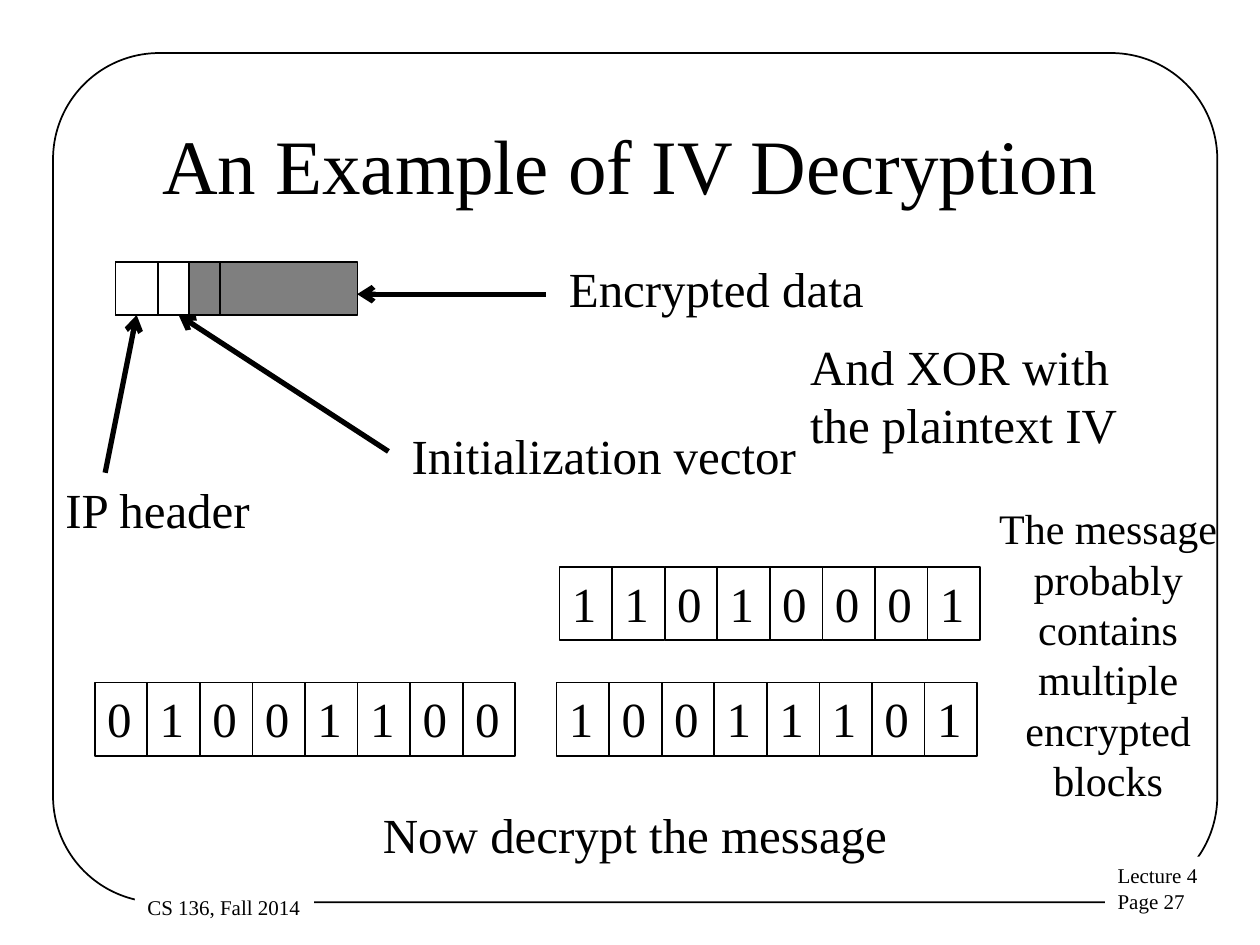
from lxml import etree
from pptx import Presentation
from pptx.dml import color
from pptx.enum import shapes as kinds, text as enums
from pptx.oxml import ns
from pptx.util import Cm, Pt

FONT = "Times New Roman"
BLACK, WHITE, GRAY = "000000", "FFFFFF", "7F7F7F"

# Content: lengths in cm
TITLE = "An Example of IV Decryption"
FOOTERS = [  # text, left, top, width, height
    ("Lecture 4\nPage 27", 22.28, 17.27, 3.22, 1.27),
    ("CS 136, Fall 2014", 2.72, 17.91, 3.61, 0.76),
]
LABELS = [  # text, left, top, width, height, size, wrap, centred
    ("IP header", 1.07, 9.55, 4.24, 1.45, 28, False, False),
    ("Encrypted data", 11.22, 5.08, 6.45, 1.45, 28, False, False),
    ("Initialization vector", 8.05, 8.46, 8.26, 1.45, 28, False, False),
    ("Now decrypt the message", 7.47, 16.1, 10.67, 1.45, 28, False, False),
    ("And XOR with the plaintext IV", 16.08, 6.65, 7.82, 2.64, 28, True, False),
    ("The message probably contains multiple encrypted blocks",
     19.48, 10.01, 5.72, 6.35, 24, True, True),
]
PACKET = [  # left, width, fill
    (2.33, 4.88, GRAY), (2.33, 0.85, WHITE),
    (3.18, 0.63, WHITE), (3.81, 0.63, GRAY),
]
PACK_TOP, PACK_H = 5.29, 1.06
ARROWS = [  # from x, y, to x, y
    (2.12, 9.53, 2.76, 6.35),
    (11.0, 5.93, 7.2, 5.93),
    (7.83, 9.1, 3.6, 6.35),
]
BITS = [  # bits, left, top
    ("10011101", 11.22, 13.76),
    ("01001100", 1.91, 13.76),
    ("11010001", 11.28, 11.43),
]
BIT_W, BIT_H = 1.06, 1.48


def rgb(code):
    return color.RGBColor.from_string(code)


def write(shape, words, size, wrap=True, center=False, anchor="TOP"):
    frame = shape.text_frame
    frame.text = words
    frame.word_wrap = wrap
    frame.vertical_anchor = enums.MSO_ANCHOR[anchor]
    for para in frame.paragraphs:
        para.alignment = enums.PP_ALIGN.CENTER if center else enums.PP_ALIGN.LEFT
        for run in para.runs:
            run.font.name = FONT
            run.font.size = Pt(size)
            run.font.color.rgb = rgb(BLACK)


def box(place, fill=None, line=BLACK, kind="RECTANGLE"):
    shape = slide.shapes.add_shape(kinds.MSO_SHAPE[kind], *map(Cm, place))
    shape.shadow.inherit = False
    if fill:
        shape.fill.solid()
        shape.fill.fore_color.rgb = rgb(fill)
    else:
        shape.fill.background()
    if line:
        shape.line.color.rgb = rgb(line)
        shape.line.width = Pt(1)
    else:
        shape.line.fill.background()
    return shape


def arrow(ends):
    link = slide.shapes.add_connector(
        kinds.MSO_CONNECTOR.STRAIGHT, *map(Cm, ends))
    link.line.color.rgb = rgb(BLACK)
    link.line.width = Pt(3)
    stroke = link.line._get_or_add_ln()
    etree.SubElement(stroke, ns.qn("a:tailEnd"), type="arrow")
    etree.SubElement(link._element.spPr, ns.qn("a:effectLst"))
    return link


deck = Presentation()
deck.slide_width, deck.slide_height = Cm(25.4), Cm(19.05)
slide = deck.slides.add_slide(deck.slide_layouts[5])

# Frame and footers
frame = box((1.07, 1.07, 23.47, 17.12), kind="ROUNDED_RECTANGLE")
frame.adjustments[0] = 0.125
for words, *place in FOOTERS:
    write(box(place, WHITE, None), words, 12, wrap=False)

# Title
title = slide.shapes.title
title.left, title.top, title.width, title.height = map(
    Cm, (1.91, 1.7, 21.59, 3.18))
write(title, TITLE, 44, center=True, anchor="MIDDLE")

# Packet with its arrows
links = [arrow(ends) for ends in ARROWS]
parts = [box((left, PACK_TOP, width, PACK_H), fill)
         for left, width, fill in PACKET]
links[0].end_connect(parts[1], 2)

# Rows of bits
for bits, left, top in BITS:
    for i, bit in enumerate(bits):
        write(box((left + i * BIT_W, top, BIT_W, BIT_H), WHITE), bit, 28)

# Labels
for words, left, top, width, height, size, wrap, center in LABELS:
    label = slide.shapes.add_textbox(*map(Cm, (left, top, width, height)))
    write(label, words, size, wrap, center)

deck.save("out.pptx")
